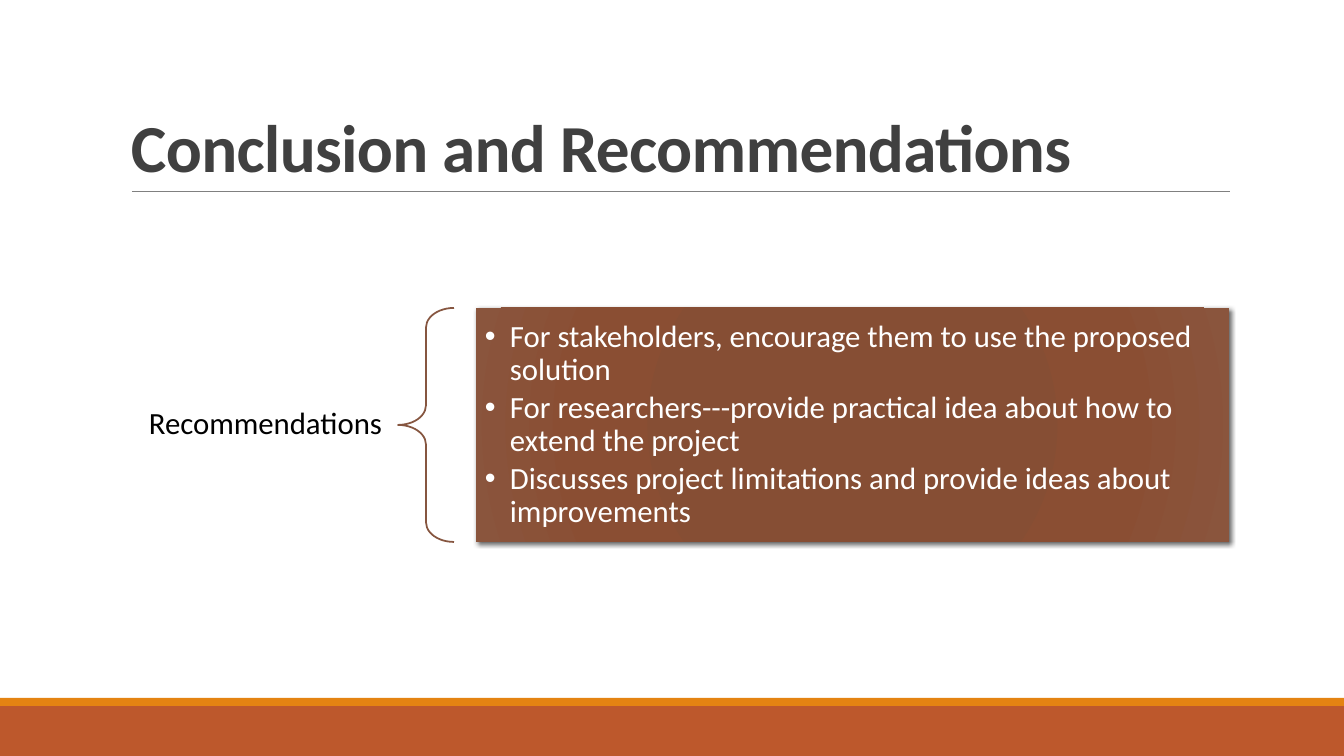
from lxml import etree
from pptx import Presentation
from pptx.dml.color import RGBColor
from pptx.enum.shapes import MSO_CONNECTOR as Connector, MSO_SHAPE as Shape
from pptx.enum.text import MSO_ANCHOR as Anchor, PP_ALIGN as Align
from pptx.oxml import parse_xml
from pptx.oxml.ns import nsdecls, qn
from pptx.util import Pt

PX = 914400 / 100.8
RUST = RGBColor(0xBD, 0x58, 0x2C)
ORANGE = RGBColor(0xE4, 0x83, 0x12)
GRAY = RGBColor(0x80, 0x80, 0x80)
CHARCOAL = RGBColor(0x40, 0x40, 0x40)
BROWN = RGBColor(0x86, 0x56, 0x40)
BLACK = RGBColor(0, 0, 0)
WHITE = RGBColor(0xFF, 0xFF, 0xFF)
PANEL_STOPS = [
    (0, RGBColor(0x87, 0x4C, 0x32)),
    (34, RGBColor(0x86, 0x4E, 0x34)),
    (70, RGBColor(0x8A, 0x4E, 0x33)),
    (100, RGBColor(0x8A, 0x55, 0x3D)),
]


def px(*lengths):
    return [round(length * PX) for length in lengths]


def add_text(area, lines, insets, anchor, font, paragraph, bullet=False):
    box = page.shapes.add_textbox(*px(*area))
    frame = box.text_frame
    frame.word_wrap = True
    frame.vertical_anchor = anchor
    across, down = px(*insets)
    frame.margin_left = frame.margin_right = across
    frame.margin_top = frame.margin_bottom = down
    for index, line in enumerate(lines):
        para = frame.add_paragraph() if index else frame.paragraphs[0]
        if bullet:
            indent = px(25)[0]
            properties = para._p.get_or_add_pPr()
            properties.set("marL", str(indent))
            properties.set("indent", str(-indent))
            etree.SubElement(properties, qn("a:buFont")).set("typeface", "Arial")
            etree.SubElement(properties, qn("a:buChar")).set("char", "•")
        for name, value in paragraph.items():
            setattr(para, name, value)
        span = para.add_run()
        span.text = line
        for name, value in font.items():
            if name == "color":
                span.font.color.rgb = value
            else:
                setattr(span.font, name, value)
    return box


deck = Presentation()
deck.slide_width, deck.slide_height = px(1344, 756)
page = deck.slides.add_slide(deck.slide_layouts[6])

# Footer bands
for top, height, color in [(706, 50, RUST), (698, 8, ORANGE)]:
    band = page.shapes.add_shape(Shape.RECTANGLE, *px(0, top, 1344, height))
    band.shadow.inherit = False
    band.fill.solid()
    band.fill.fore_color.rgb = color
    band.line.fill.background()

# Title and rule
rule = page.shapes.add_connector(Connector.STRAIGHT, *px(132, 191, 1230, 191))
rule.line.color.rgb = GRAY
rule.line.width = Pt(0.5)
etree.SubElement(rule._element.spPr, qn("a:effectLst"))

title = add_text(
    (121, 31, 1109, 160), ["Conclusion and Recommendations"], (10, 5), Anchor.BOTTOM,
    {"name": "Calibri", "size": Pt(48), "bold": True, "color": CHARCOAL},
    {"line_spacing": 0.85},
)
title.text_frame.paragraphs[0].runs[0].font._element.set("spc", "-50")

# Label and brace
add_text(
    (122, 401, 277, 48), ["Recommendations"], (17, 6), Anchor.MIDDLE,
    {"name": "Calibri", "size": Pt(22), "color": BLACK},
    {"line_spacing": 0.9, "alignment": Align.RIGHT},
)
brace = page.shapes.add_shape(Shape.LEFT_BRACE, *px(398, 308, 56, 234))
brace.shadow.inherit = False
brace.adjustments[0], brace.adjustments[1] = 0.35, 0.5
brace.fill.background()
brace.line.color.rgb = BROWN
brace.line.width = Pt(1.25)

# Panel with radial gradient and soft shadow
panel_area = (476, 308, 753, 234)
panel = page.shapes.add_shape(Shape.RECTANGLE, *px(*panel_area))
panel.shadow.inherit = False
panel.line.fill.background()
stops = "".join(
    f'<a:gs pos="{position * 1000}"><a:srgbClr val="{color}"/></a:gs>'
    for position, color in PANEL_STOPS
)
gradient = parse_xml(
    f'<a:gradFill {nsdecls("a")} rotWithShape="1"><a:gsLst>{stops}</a:gsLst>'
    '<a:path path="circle"><a:fillToRect l="100000" t="100000" r="100000" b="100000"/>'
    "</a:path></a:gradFill>"
)
shape_properties = panel._element.spPr
shape_properties.find(qn("a:ln")).addprevious(gradient)
shadow = parse_xml(
    f'<a:outerShdw {nsdecls("a")} blurRad="{Pt(3)}" dist="{Pt(2)}" dir="2700000" '
    'algn="ctr" rotWithShape="0"><a:srgbClr val="000000"><a:alpha val="60000"/>'
    "</a:srgbClr></a:outerShdw>"
)
shape_properties.find(qn("a:effectLst")).append(shadow)

# Recommendations list
recommendations = [
    "For stakeholders, encourage them to use the proposed solution",
    "For researchers---provide practical idea about how to extend the project",
    "Discusses project limitations and provide ideas about improvements",
]
add_text(
    panel_area, recommendations, (9, 9), Anchor.MIDDLE,
    {"name": "Calibri", "size": Pt(22), "color": WHITE},
    {"line_spacing": 0.9, "space_after": Pt(3.3)}, bullet=True,
)

deck.save("out.pptx")
